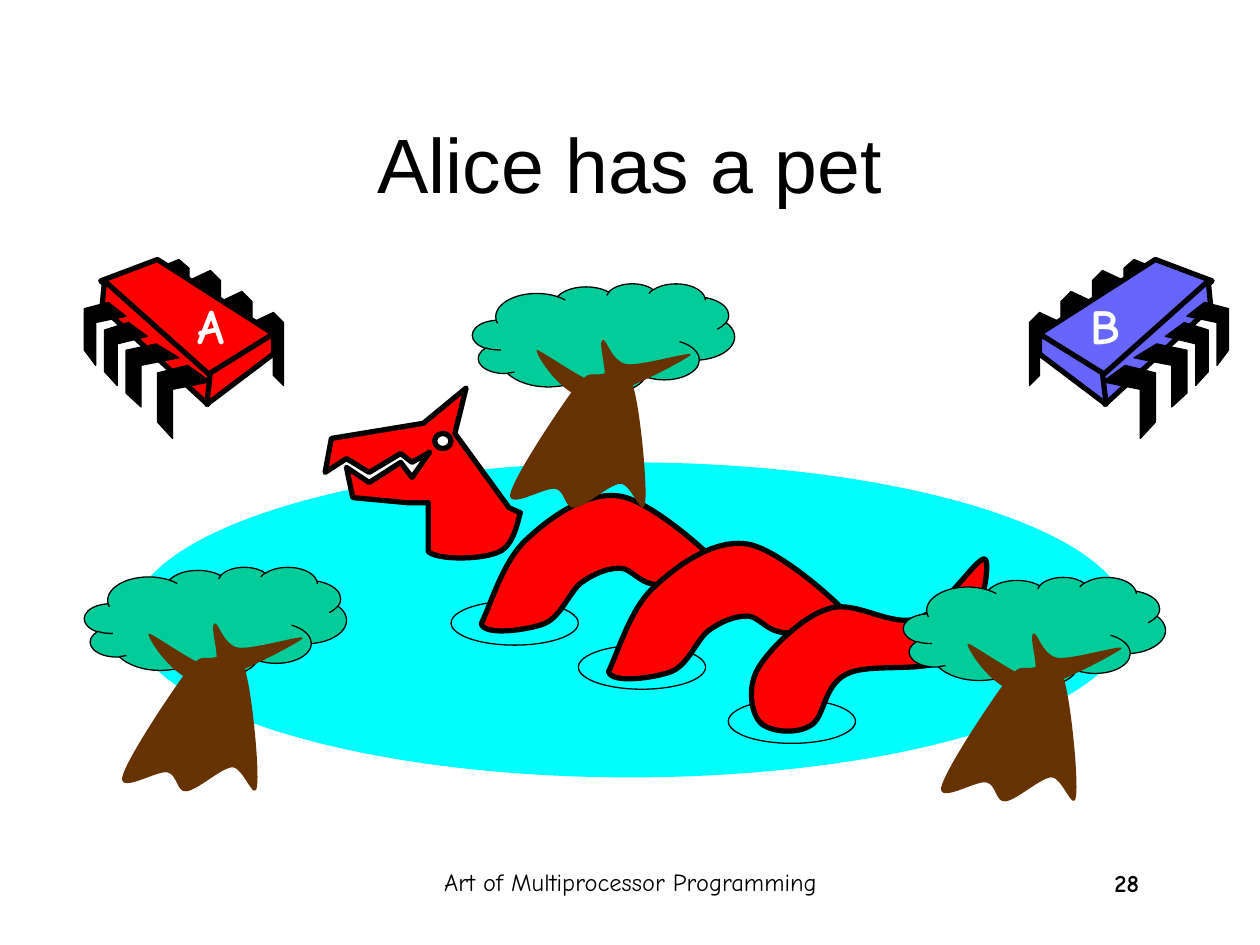
from pptx import Presentation
from pptx.dml.color import RGBColor
from pptx.enum import shapes, text
from pptx.oxml.ns import qn
from pptx.oxml.xmlchemy import OxmlElement
from pptx.util import Inches, Pt

BLACK = RGBColor(0x00, 0x00, 0x00)
WHITE = RGBColor(0xFF, 0xFF, 0xFF)
RED = RGBColor(0xFF, 0x00, 0x00)
VIOLET = RGBColor(0x66, 0x66, 0xFF)
CYAN = RGBColor(0x00, 0xFF, 0xFF)
GREEN = RGBColor(0x00, 0xCC, 0x99)
BROWN = RGBColor(0x66, 0x33, 0x00)

THIN, THICK = 0.75, 3

prs = Presentation()
prs.slide_width, prs.slide_height = Inches(10), Inches(7.5)
s = prs.slides.add_slide(prs.slide_layouts[5])


def paint(sp, fill, width):
    """Set fill and black line; None leaves out the one or the other."""
    sp.shadow.inherit = False
    if fill is None:
        sp.fill.background()
    else:
        sp.fill.solid()
        sp.fill.fore_color.rgb = fill
    if width is None:
        sp.line.fill.background()
    else:
        sp.line.color.rgb = BLACK
        sp.line.width = Pt(width)


def outline(steps, fill, width, dx=0, dy=0, flip=1):
    """Draw a closed outline; a step is a point (x, y) or a Bézier curve of three points."""
    pts = [(Inches(flip * step[i] + dx), Inches(step[i + 1] + dy))
           for step in steps for i in range(0, len(step), 2)]
    builder = s.shapes.build_freeform(*pts[0])
    builder.add_line_segments(pts[1:], close=True)
    sp = builder.convert_to_shape()
    # Fold the three points of each curve step into one Bézier segment
    lines = iter(sp._element.findall(".//" + qn("a:lnTo")))
    for step in steps[1:]:
        parts = [next(lines) for _ in range(len(step) // 2)]
        if len(parts) == 3:
            bezier = OxmlElement("a:cubicBezTo")
            parts[0].addprevious(bezier)
            for part in parts:
                bezier.append(part[0])
                part.getparent().remove(part)
    paint(sp, fill, width)


# Title
title = s.shapes.title
title.left, title.top = Inches(0.75), Inches(0.67)
title.width, title.height = Inches(8.5), Inches(1.25)
tf = title.text_frame
tf.vertical_anchor = text.MSO_ANCHOR.MIDDLE
p = tf.paragraphs[0]
p.alignment = text.PP_ALIGN.CENTER
r = p.add_run()
r.text = "Alice has a pet"
r.font.size, r.font.name = Pt(44), "Arial"
r.font.color.rgb = BLACK

# Two chips, the second mirrored
BACK_PIN = [(2, 2.56), (2.17, 2.48), (2.25, 2.56), (2.25, 3.06),
            (2.17, 2.98), (2.17, 2.65), (2, 2.73)]
LAST_BACK_PIN = [(1.25, 2.13), (1.42, 2.06), (1.5, 2.13), (1.5, 2.56),
                 (1.42, 2.49), (1.42, 2.21), (1.25, 2.28)]
CHIP_FACES = [
    [(1.25, 2.06), (2.17, 2.65), (1.65, 2.99), (0.8, 2.23)],
    [(0.83, 2.23), (1.67, 2.98), (1.65, 3.21), (0.81, 2.44)],
    [(2.17, 2.65), (2.17, 2.81), (1.64, 3.21), (1.67, 2.96)],
]
FRONT_PINS = [
    [(1.49, 2.9), (1.67, 3.03), (1.37, 3.09), (1.37, 3.48), (1.25, 3.35), (1.25, 2.96)],
    [(1.24, 2.73), (1.42, 2.84), (1.12, 2.9), (1.12, 3.23), (1, 3.12), (1, 2.78)],
    [(1.02, 2.56), (1.17, 2.67), (0.93, 2.73), (0.93, 3.06), (0.83, 2.95), (0.83, 2.62)],
    [(0.86, 2.4), (1, 2.51), (0.76, 2.56), (0.76, 2.9), (0.67, 2.78), (0.67, 2.45)],
]
for colour, flip, dx in [(RED, 1, 0), (VIOLET, -1, 10.42)]:
    for i in range(3):
        outline(BACK_PIN, BLACK, THIN, dx - flip * 0.25 * i, -i / 6, flip)
    outline(LAST_BACK_PIN, BLACK, THIN, dx, flip=flip)
    for face in CHIP_FACES:
        outline(face, colour, THICK, dx, flip=flip)
    for pin in FRONT_PINS:
        outline(pin, BLACK, THIN, dx, flip=flip)

# Pond and ripples
for x, y, w, h, fill, width in [
    (1.04, 3.67, 7.92, 2.5, CYAN, None),
    (4.59, 5.12, 1.01, 0.35, None, THIN),
    (5.78, 5.55, 1.01, 0.35, None, THIN),
    (3.58, 4.77, 1.01, 0.35, None, THIN),
]:
    sp = s.shapes.add_shape(shapes.MSO_SHAPE.OVAL, Inches(x), Inches(y), Inches(w), Inches(h))
    paint(sp, fill, width)

# Sea monster
HUMP = [(3.82, 4.95), (3.84, 5.05, 4.19, 5, 4.32, 4.95), (4.46, 4.89, 4.52, 4.69, 4.62, 4.62),
        (4.72, 4.55, 4.82, 4.51, 4.92, 4.51), (5.01, 4.51, 5.06, 4.62, 5.2, 4.64),
        (5.35, 4.65, 5.84, 4.72, 5.8, 4.6), (5.75, 4.49, 5.2, 3.99, 4.93, 3.94),
        (4.65, 3.89, 4.35, 4.12, 4.17, 4.29), (3.99, 4.46, 3.89, 4.81, 3.82, 4.95)]
HEAD = [(4.04, 4.03), (3.61, 3.44), (3.7, 3.08), (3.36, 3.36), (2.63, 3.48), (2.58, 3.75),
        (2.75, 3.64), (2.93, 3.75), (3.18, 3.6), (3.27, 3.67), (3.41, 3.59), (3.27, 3.79),
        (3.18, 3.67), (2.93, 3.83), (2.75, 3.71), (2.8, 3.95), (3.23, 3.99), (3.4, 3.99),
        (3.4, 4.38), (3.49, 4.45, 3.84, 4.44, 3.96, 4.38), (4.08, 4.33, 4.11, 4.13, 4.13, 4.07)]
TAIL = [(7.82, 4.44), (7.77, 4.39, 7.49, 4.85, 7.28, 4.91), (7.07, 4.98, 6.79, 4.76, 6.58, 4.83),
        (6.37, 4.89, 6.11, 5.15, 6.02, 5.3), (5.93, 5.45, 5.96, 5.65, 6.03, 5.73),
        (6.1, 5.81, 6.32, 5.83, 6.43, 5.76), (6.55, 5.7, 6.53, 5.44, 6.72, 5.35),
        (6.91, 5.25, 7.39, 5.36, 7.57, 5.2), (7.76, 5.05, 7.87, 4.49, 7.82, 4.44)]
outline(HUMP, RED, THICK)
outline(HUMP, RED, THICK, 1.01, 0.38)
outline(HEAD, RED, THICK)
eye = s.shapes.add_shape(shapes.MSO_SHAPE.OVAL,
                         Inches(3.45), Inches(3.44), Inches(0.13), Inches(0.12))
paint(eye, WHITE, THICK)
outline(TAIL, RED, THICK)

# Trees
TRUNK = [(4.56, 3.08), (4.68, 2.93, 4.69, 2.98, 4.77, 2.97), (4.84, 2.96, 4.96, 2.88, 5.02, 3.05),
         (5.08, 3.22, 5.14, 3.86, 5.12, 3.99), (5.1, 4.13, 5.01, 3.83, 4.92, 3.84),
         (4.83, 3.85, 4.65, 4.02, 4.56, 4.03), (4.48, 4.04, 4.49, 3.9, 4.41, 3.88),
         (4.33, 3.86, 4.03, 4.05, 4.05, 3.92), (4.08, 3.78, 4.44, 3.24, 4.56, 3.08)]
BRANCHES = [(4.26, 2.78), (4.24, 2.8, 4.46, 3.15, 4.66, 3.16), (4.87, 3.17, 5.43, 2.86, 5.48, 2.82),
            (5.53, 2.77, 5.09, 2.91, 4.97, 2.89), (4.85, 2.87, 4.81, 2.67, 4.78, 2.7),
            (4.74, 2.72, 4.85, 3.03, 4.77, 3.05), (4.68, 3.06, 4.27, 2.76, 4.26, 2.78)]
for dx, dy in [(0, 0), (3.42, 2.33), (-3.08, 2.25)]:
    crown = s.shapes.add_shape(shapes.MSO_SHAPE.CLOUD_CALLOUT, Inches(3.75 + dx),
                               Inches(2.25 + dy), Inches(2.08), Inches(0.87))
    crown.adjustments[0], crown.adjustments[1] = 0.018, 0.493
    paint(crown, GREEN, THIN)
    outline(TRUNK, BROWN, None, dx, dy)
    outline(BRANCHES, BROWN, None, dx, dy)

# Chip letters, footer and slide number
RIGHT, CENTER = text.PP_ALIGN.RIGHT, text.PP_ALIGN.CENTER
for words, x, y, w, h, size, colour, bold, align, wrap in [
    ("A", 1.47, 2.3, 0.41, 0.57, 28, WHITE, True, RIGHT, False),
    ("B", 8.55, 2.3, 0.44, 0.57, 28, WHITE, True, RIGHT, False),
    ("Art of Multiprocessor Programming", 3.42, 6.83, 3.17, 0.5, 14, BLACK, False, CENTER, True),
    ("28", 7.06, 6.84, 2.08, 0.5, 14, BLACK, True, RIGHT, True),
]:
    tf = s.shapes.add_textbox(Inches(x), Inches(y), Inches(w), Inches(h)).text_frame
    tf.word_wrap = wrap
    p = tf.paragraphs[0]
    p.alignment = align
    r = p.add_run()
    r.text = words
    r.font.size, r.font.name, r.font.bold = Pt(size), "Comic Neue", bold
    r.font.color.rgb = colour

prs.save("out.pptx")
